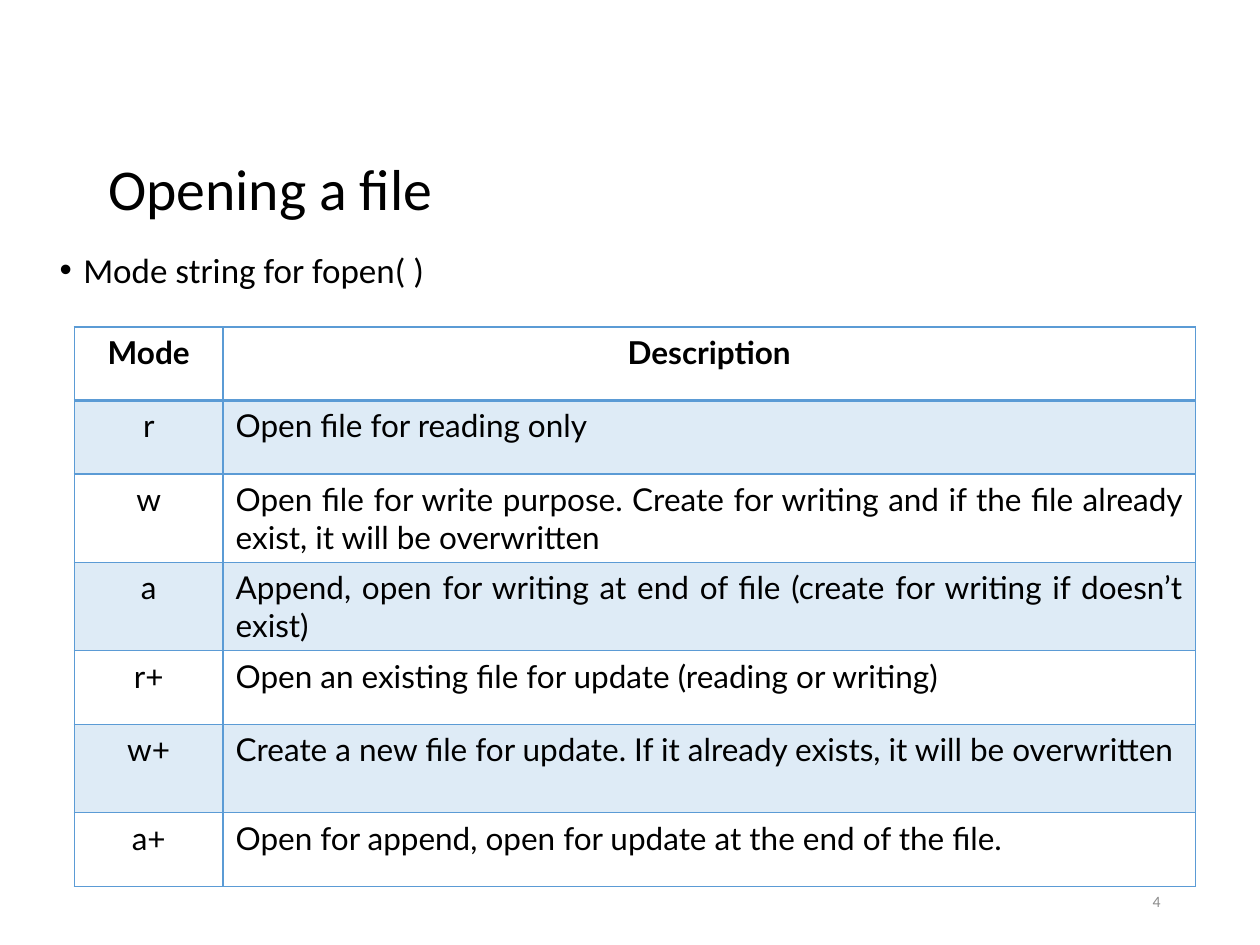
from lxml import etree
from pptx import Presentation, util as u
from pptx.dml.color import RGBColor
from pptx.enum import text as t
from pptx.oxml.ns import qn

BLUE, BLACK, GREY = "5B9BD5", "000000", "8C8C8C"
LEFT, MID, RIGHT, JUST = (t.PP_ALIGN.LEFT, t.PP_ALIGN.CENTER,
                          t.PP_ALIGN.RIGHT, t.PP_ALIGN.JUSTIFY)
COLS = [85, 555.6]
TALL, LOW = 50.4, 42.1
ROWS = [
    (LOW, "Mode", "Description"),
    (LOW, "r", "Open file for reading only"),
    (TALL, "w", "Open file for write purpose. Create for writing and if the "
                "file already exist, it will be overwritten"),
    (TALL, "a", "Append, open for writing at end of file (create for writing "
                "if doesn’t exist)"),
    (LOW, "r+", "Open an existing file for update (reading or writing)"),
    (TALL, "w+", "Create a new file for update. If it already exists, it will "
                 "be overwritten"),
    (LOW, "a+", "Open for append, open for update at the end of the file."),
]


def color(code):
    return RGBColor.from_string(code)


def style(para, code=BLACK, align=LEFT, **form):
    para.alignment = align
    for name, value in form.items():
        setattr(para.font, name, value)
    para.font.color.rgb = color(code)


def label(slide, area, words, anchor, **form):
    box = slide.shapes.add_textbox(*map(u.Pt, area))
    frame = box.text_frame
    frame.word_wrap = True
    frame.vertical_anchor = anchor
    para = frame.paragraphs[0]
    para.text = words
    style(para, name="Calibri", **form)
    return para


def bullet(para, left, hang):
    props = para._p.get_or_add_pPr()
    props.set("marL", str(u.Pt(left)))
    props.set("indent", str(-u.Pt(hang)))
    etree.SubElement(props, qn("a:buFont"), typeface="Arial")
    etree.SubElement(props, qn("a:buChar"), char="•")


def border(cell, widths):
    props = cell._tc.get_or_add_tcPr()
    for side, width in zip("LRTB", widths):
        line = etree.SubElement(props, qn("a:ln" + side), w=str(u.Pt(width)))
        fill = etree.SubElement(line, qn("a:solidFill"))
        etree.SubElement(fill, qn("a:srgbClr"), val=BLUE)


def tint(cell, code, share):
    cell.fill.solid()
    cell.fill.fore_color.rgb = color(code)
    tone = cell._tc.tcPr.find(".//" + qn("a:solidFill") + "[last()]")
    tone = cell._tc.tcPr.findall(qn("a:solidFill"))[0][0]
    etree.SubElement(tone, qn("a:alpha"), val=str(share * 1000))


def modes(slide, left, top):
    high = sum(row[0] for row in ROWS)
    area = map(u.Pt, (left, top, sum(COLS), high))
    table = slide.shapes.add_table(len(ROWS), len(COLS), *area).table
    for col, width in zip(table.columns, COLS):
        col.width = u.Pt(width)
    for i, (height, *words) in enumerate(ROWS):
        table.rows[i].height = u.Pt(height)
        for j, word in enumerate(words):
            cell = table.cell(i, j)
            cell.text = word
            style(cell.text_frame.paragraphs[0], name="Lato", size=u.Pt(18),
                  bold=i == 0, align=JUST if i and j else MID)
            border(cell, (1, 1, 2 if i == 1 else 1, 2 if i == 0 else 1))
            if i % 2:
                tint(cell, BLUE, 20)
            else:
                cell.fill.background()


def main():
    deck = Presentation()
    deck.slide_width, deck.slide_height = u.Pt(720), u.Pt(540)
    slide = deck.slides.add_slide(deck.slide_layouts[6])
    middle, top = t.MSO_ANCHOR.MIDDLE, t.MSO_ANCHOR.TOP
    title = label(slide, (54.7, 57.6, 612, 103.7), "Opening a file", middle,
                  size=u.Pt(33))
    title.line_spacing = 0.9
    label(slide, (508.3, 500.4, 162, 28.8), "4", middle, code=GREY,
          align=RIGHT, size=u.Pt(9))
    point = label(slide, (0, 141, 669, 32), "Mode string for fopen( )", top,
                  align=JUST, size=u.Pt(20))
    point.line_spacing = 0.9
    bullet(point, 40.5, 13.5)
    modes(slide, 42.5, 186.8)
    deck.save("out.pptx")


if __name__ == "__main__":
    main()
